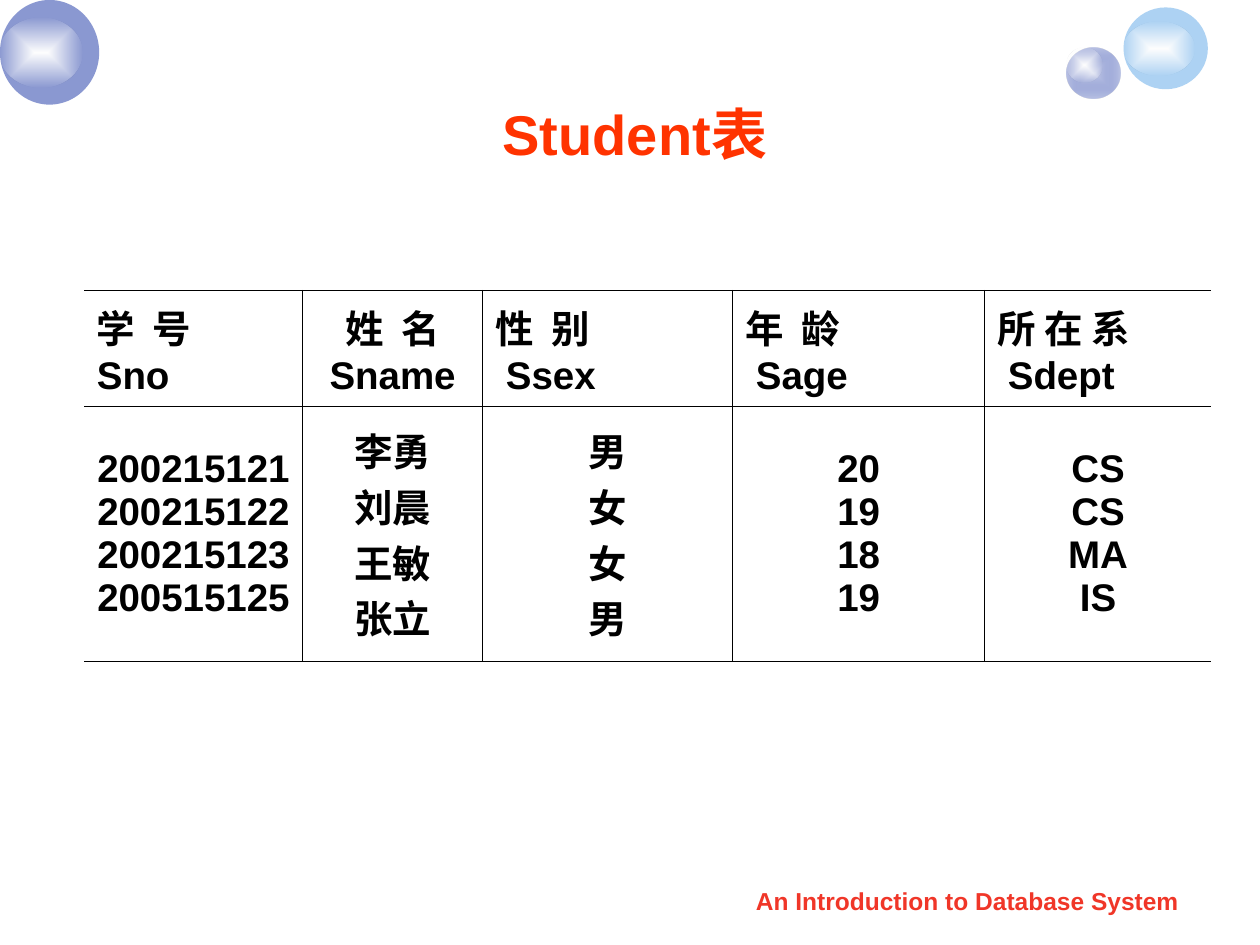
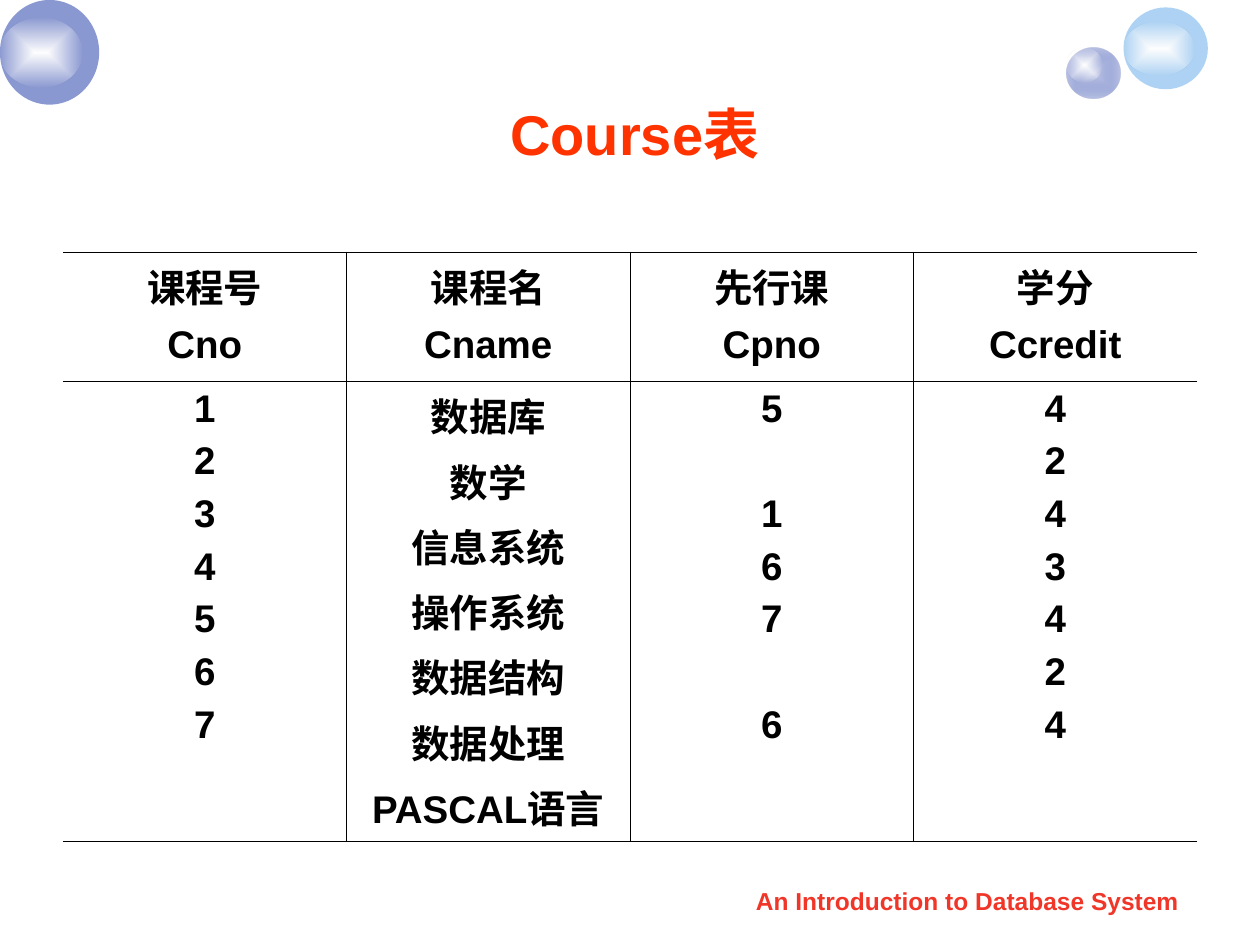
import pptx
import pptx.util
import pptx.dml.color
import pptx.enum.shapes
import pptx.enum.text
import pptx.oxml
import pptx.oxml.ns

Cm, Pt = pptx.util.Cm, pptx.util.Pt
LEFT = pptx.enum.text.PP_ALIGN.LEFT
CENTER = pptx.enum.text.PP_ALIGN.CENTER
MIDDLE = pptx.enum.text.MSO_ANCHOR.MIDDLE
TOP = pptx.enum.text.MSO_ANCHOR.TOP

COLORS = {"title": "FF3300", "footer": "F03628", "text": "000000", "white": "FFFFFF",
          "navy": "233DA9", "sky": "65AAE9", "mist": "C7CEE9"}
FONT = "Arial"
FOOTER = "An Introduction to Database System"
FOOTER_BOX = (14.5, 17.73, 10.01, 0.89)
TITLE_BOX = (2.54, 1.9, 20.52, 1.57)
BORDER = Pt(0.45)
SKIPPED_LINE = 30.1
GLOSS = [("white", 100), ("white", 0)]

BUBBLES = [
    [((21.51, 0.97, 1.07, 1.02), [("mist", 100), ("navy", 31)]),
     ((21.51, 0.97, 0.71, 0.69), GLOSS)],
    [((22.65, 0.15, 1.7, 1.65), [("sky", 53)]),
     ((22.65, 0.43, 1.42, 1.09), GLOSS)],
    [((0, 0, 2, 2.11), [("navy", 53)]),
     ((0, 0.36, 1.67, 1.41), GLOSS)],
]

RELATIONS = [
    {
        "title": "Student表",
        "corner": (1.7, 5.85),
        "widths": [4.4, 3.63, 5.04, 5.08, 4.57],
        "heights": [2.34, 5.14],
        "anchor": MIDDLE,
        "gap": 0,
        "columns": [
            {"heading": ["学 号", "Sno"], "align": LEFT, "spread": 2.5,
             "values": ["200215121", "200215122", "200215123", "200515125"]},
            {"heading": ["姓 名", "Sname"], "spread": 2.5,
             "values": ["李勇", "刘晨", "王敏", "张立"]},
            {"heading": ["性 别", "Ssex"], "align": LEFT, "spread": 2.5, "indent": 6.1,
             "values": ["男", "女", "女", "男"]},
            {"heading": ["年 龄", "Sage"], "align": LEFT, "spread": 2.5, "indent": 6.1,
             "values": ["20", "19", "18", "19"]},
            {"heading": ["所 在 系", "Sdept"], "align": LEFT, "indent": 6.1,
             "values": ["CS", "CS", "MA", "IS"]},
        ],
    },
    {
        "title": "Course表",
        "corner": (1.27, 5.08),
        "widths": [22.86 / 4] * 4,
        "heights": [2.6, 9.28],
        "anchor": TOP,
        "gap": 5.5,
        "columns": [
            {"heading": ["课程号", "Cno"], "values": ["1", "2", "3", "4", "5", "6", "7"]},
            {"heading": ["课程名", "Cname"],
             "values": ["数据库", "数学", "信息系统", "操作系统", "数据结构", "数据处理",
                        "PASCAL语言"]},
            {"heading": ["先行课", "Cpno"], "values": ["5", None, "1", "6", "7", None, "6"]},
            {"heading": ["学分", "Ccredit"], "values": ["4", "2", "4", "3", "4", "2", "4"]},
        ],
    },
]


def cm_box(box):
    return [Cm(length) for length in box]


def style(paragraph, size, color, align=CENTER):
    paragraph.alignment = align
    font = paragraph.font
    font.name, font.size, font.bold = FONT, Pt(size), True
    font.color.rgb = pptx.dml.color.RGBColor.from_string(COLORS[color])


def fill_xml(stops):
    ns = pptx.oxml.ns.nsdecls("a")
    tints = [f'<a:srgbClr val="{COLORS[name]}"><a:alpha val="{alpha * 1000}"/></a:srgbClr>'
             for name, alpha in stops]
    if len(tints) == 1:
        return f"<a:solidFill {ns}>{tints[0]}</a:solidFill>"
    steps = "".join(f'<a:gs pos="{100000 * i}">{tint}</a:gs>' for i, tint in enumerate(tints))
    return (f'<a:gradFill {ns} rotWithShape="1"><a:gsLst>{steps}</a:gsLst><a:path path="rect">'
            '<a:fillToRect l="50000" t="50000" r="50000" b="50000"/></a:path></a:gradFill>')


def decorate_layout(layout, slide):
    next_id = 100
    for layers in BUBBLES:
        bubble = slide.shapes.add_group_shape()
        for box, stops in layers:
            disc = bubble.shapes.add_shape(pptx.enum.shapes.MSO_SHAPE.OVAL, *cm_box(box))
            disc._element.spPr.append(pptx.oxml.parse_xml(fill_xml(stops)))
            disc.line.fill.background()
            disc.shadow.inherit = False
        layout.shapes._spTree.append(bubble._element)
        for properties in bubble._element.iter(pptx.oxml.ns.qn("p:cNvPr")):
            properties.set("id", str(next_id))
            next_id += 1


def add_heading_and_footer(slide, heading):
    title = slide.shapes.title
    title.left, title.top, title.width, title.height = cm_box(TITLE_BOX)
    title.text_frame.text = heading
    title.text_frame.vertical_anchor = MIDDLE
    title.text_frame.auto_size = pptx.enum.text.MSO_AUTO_SIZE.NONE
    style(title.text_frame.paragraphs[0], 32, "title")

    footer = slide.shapes.add_textbox(*cm_box(FOOTER_BOX)).text_frame
    footer.word_wrap = True
    footer.text = FOOTER
    style(footer.paragraphs[0], 14, "footer")


def write_lines(cell, lines, gap, align=CENTER):
    space = 0
    frame = cell.text_frame
    for i, line in enumerate(lines):
        if line is None:
            space += SKIPPED_LINE
            continue
        paragraph = frame.add_paragraph() if i else frame.paragraphs[0]
        paragraph.add_run().text = line
        paragraph.space_before = Pt(space)
        style(paragraph, 22, "text", align)
        space = gap


def set_borders(cell, sides):
    properties = cell._tc.get_or_add_tcPr()
    for side in "LRTB":
        paint = (f'<a:solidFill><a:srgbClr val="{COLORS["text"]}"/></a:solidFill>'
                 if side in sides else "<a:noFill/>")
        properties.append(pptx.oxml.parse_xml(
            f'<a:ln{side} {pptx.oxml.ns.nsdecls("a")} w="{BORDER}">{paint}</a:ln{side}>'))


def add_relation(slide, relation):
    columns, widths, heights = relation["columns"], relation["widths"], relation["heights"]
    grid = slide.shapes.add_table(
        len(heights), len(columns),
        *cm_box((*relation["corner"], sum(widths), sum(heights)))).table
    grid.first_row = grid.horz_banding = False
    for row, height in zip(grid.rows, heights):
        row.height = Cm(height)
    for i, (column, width) in enumerate(zip(columns, widths)):
        grid.columns[i].width = Cm(width)
        heading, values = grid.cell(0, i), grid.cell(1, i)
        sides = "TB" + ("L" if i else "") + ("R" if i < len(columns) - 1 else "")
        for cell in (heading, values):
            cell.vertical_anchor = relation["anchor"]
            set_borders(cell, sides)
            cell.fill.background()
        write_lines(heading, column["heading"], relation["gap"], column.get("align", CENTER))
        write_lines(values, column["values"], relation["gap"])
        chinese, english = heading.text_frame.paragraphs
        if "spread" in column:
            chinese.runs[0]._r.get_or_add_rPr().set("spc", str(int(column["spread"] * 100)))
        if "indent" in column:
            english._p.get_or_add_pPr().set("marL", str(Pt(column["indent"])))


def main():
    deck = pptx.Presentation()
    deck.slide_width, deck.slide_height = Cm(25.4), Cm(19.05)
    layout = deck.slide_layouts[5]
    for i, relation in enumerate(RELATIONS):
        slide = deck.slides.add_slide(layout)
        if i == 0:
            decorate_layout(layout, slide)
        add_heading_and_footer(slide, relation["title"])
        add_relation(slide, relation)
    deck.save("out.pptx")


if __name__ == "__main__":
    main()
